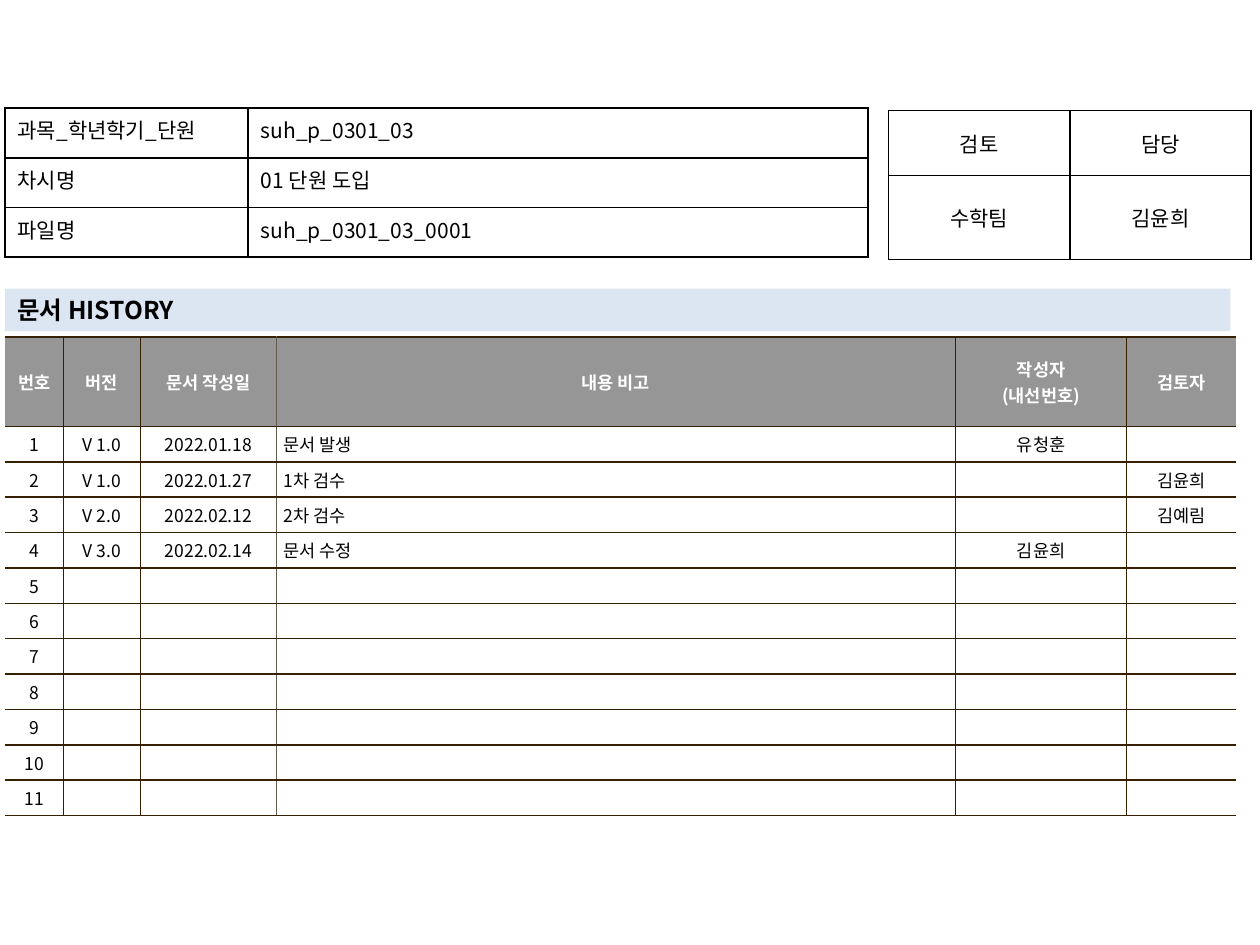
from lxml import etree
from pptx import Presentation
from pptx.dml.color import RGBColor
from pptx.enum.shapes import MSO_SHAPE
from pptx.enum.text import MSO_ANCHOR, PP_ALIGN
from pptx.oxml.ns import qn
from pptx.util import Pt

RECT = MSO_SHAPE.RECTANGLE
TOP, MID = MSO_ANCHOR.TOP, MSO_ANCHOR.MIDDLE
LEFT, CENTER, JUST = PP_ALIGN.LEFT, PP_ALIGN.CENTER, PP_ALIGN.JUSTIFY
FONT = "Noto Sans CJK KR"
BLACK, WHITE, GRAY, BLUE = "000000", "FFFFFF", "969696", "DCE6F2"
BROWN, TAUPE = "362000", "645B4C"

HEAD = ["번호", "버전", "문서 작성일", "내용 비고", "작성자\n(내선번호)", "검토자"]
LOG = [
    ["V 1.0", "2022.01.18", "문서 발생", "유청훈", ""],
    ["V 1.0", "2022.01.27", "1차 검수", "", "김윤희"],
    ["V 2.0", "2022.02.12", "2차 검수", "", "김예림"],
    ["V 3.0", "2022.02.14", "문서 수정", "김윤희", ""],
]
INFO = [
    ["과목_학년학기_단원", "suh_p_0301_03"],
    ["차시명", "01 단원 도입"],
    ["파일명", "suh_p_0301_03_0001"],
]
SIGN = [["검토", "담당"], ["수학팀", "김윤희"]]


def rgb(color):
    return RGBColor.from_string(color)


def write(frame, text, size, color, align, bold=False):
    for i, line in enumerate(text.split("\n")):
        para = frame.paragraphs[0] if i == 0 else frame.add_paragraph()
        para.alignment = align
        if not line:
            # Keeps an empty cell from growing to the default text size
            end = etree.SubElement(para._p, qn("a:endParaRPr"))
            end.set("sz", str(size * 100))
            continue
        run = para.add_run()
        run.text = line
        font = run.font
        font.name, font.size, font.bold = FONT, Pt(size), bold
        font.color.rgb = rgb(color)
        east = etree.SubElement(run._r.get_or_add_rPr(), qn("a:ea"))
        east.set("typeface", FONT)


def rule(cell, side, color):
    """Draw one cell border; a color of None hides it."""
    line = etree.SubElement(cell._tc.get_or_add_tcPr(), qn("a:ln" + side))
    line.set("w", str(Pt(1)))
    if color is None:
        etree.SubElement(line, qn("a:noFill"))
        return
    fill = etree.SubElement(line, qn("a:solidFill"))
    etree.SubElement(fill, qn("a:srgbClr")).set("val", color)


def grid(slide, left, top, cols, rows, pad):
    """Add a plain table and return its cells row by row."""
    frame = slide.shapes.add_table(len(rows), len(cols), Pt(left), Pt(top),
                                   Pt(sum(cols)), Pt(sum(rows)))
    table = frame.table
    table.first_row = table.horz_banding = False
    for col, width in zip(table.columns, cols):
        col.width = Pt(width)
    for row, height in zip(table.rows, rows):
        row.height = Pt(height)
    cells = [list(row.cells) for row in table.rows]
    for cell in sum(cells, []):
        cell.margin_left = cell.margin_right = Pt(pad[0])
        cell.margin_top = cell.margin_bottom = Pt(pad[1])
    return cells


def form(slide, left, top, cols, rows, data, aligns, anchor):
    """Place a small black-ruled table without fill."""
    cells = grid(slide, left, top, cols, rows, (7.2, 3.6))
    for line, texts in zip(cells, data):
        for cell, text, align in zip(line, texts, aligns):
            cell.vertical_anchor = anchor
            for side in "LRTB":
                rule(cell, side, BLACK)
            cell.fill.background()
            write(cell.text_frame, text, 12, BLACK, align)


def banner(slide, left, top, width, height):
    bar = slide.shapes.add_shape(RECT, Pt(left), Pt(top), Pt(width), Pt(height))
    bar.shadow.inherit = False
    bar.fill.solid()
    bar.fill.fore_color.rgb = rgb(BLUE)
    bar.line.fill.background()
    frame = bar.text_frame
    frame.word_wrap = True
    frame.vertical_anchor = TOP
    write(frame, "문서 HISTORY", 14, BLACK, LEFT, True)


def history(slide, left, top, count):
    cols = [33.3, 44.2, 77.6, 388, 97.9, 62.4]
    cells = grid(slide, left, top, cols, [51] + [18] * count, (4.2, 2.9))
    # Vertical rules from left edge to right edge; the outer ones are open
    edges = [None, BROWN, BROWN, TAUPE, BROWN, BROWN, None]
    blank = [[""] * 5] * (count - len(LOG))
    body = [[str(i), *row] for i, row in enumerate(LOG + blank, 1)]
    for r, texts in enumerate([HEAD] + body):
        head = r == 0
        for c, (cell, text) in enumerate(zip(cells[r], texts)):
            cell.vertical_anchor = MID
            for side, color in zip("LRTB", [edges[c], edges[c + 1], BROWN, BROWN]):
                rule(cell, side, color)
            cell.fill.solid()
            cell.fill.fore_color.rgb = rgb(GRAY if head else WHITE)
            align = LEFT if c == 3 and not head else CENTER
            write(cell.text_frame, text, 10, WHITE if head else BLACK, align, head)


def main():
    deck = Presentation()
    deck.slide_width, deck.slide_height = Pt(720), Pt(540)
    slide = deck.slides.add_slide(deck.slide_layouts[6])
    history(slide, 2.9, 192.7, 11)
    form(slide, 507.6, 63.2, [103.7] * 2, [37.2, 47.8], SIGN, [CENTER] * 2, MID)
    banner(slide, 2.9, 165, 700.2, 24.2)
    form(slide, 2.9, 61.8, [138.9, 354.3], [28.4] * 3, INFO, [JUST, LEFT], TOP)
    deck.save("out.pptx")


if __name__ == "__main__":
    main()
